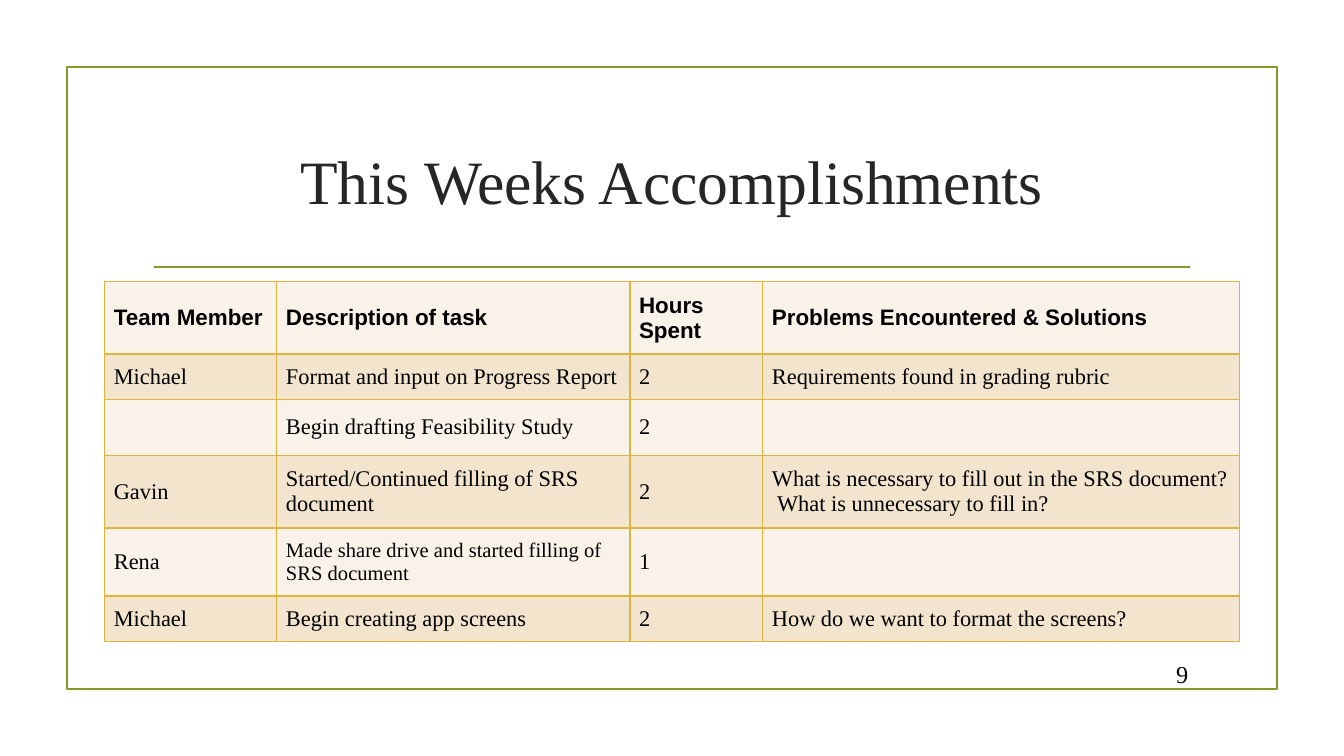
import pptx
import pptx.dml.color
import pptx.enum.shapes
import pptx.enum.text
import pptx.oxml
import pptx.oxml.ns
import pptx.util

Pt = pptx.util.Pt
ALIGN = pptx.enum.text.PP_ALIGN
MIDDLE = pptx.enum.text.MSO_ANCHOR.MIDDLE
SERIF, SANS = "Times New Roman", "Arial"
GREEN, GOLD, BLACK = "83992A", "DEB340", "000000"
LIGHT_BAND, DARK_BAND = "F9F2E8", "F2E4CD"

COLUMN_WIDTHS = [92.2, 189.2, 71.2, 255.4]
ROW_HEIGHTS = [36.8, 23.6, 30, 36.6, 34.8, 23.6]
TASKS = [
    ["Team Member", "Description of task", "Hours Spent", "Problems Encountered & Solutions"],
    ["Michael", "Format and input on Progress Report", "2", "Requirements found in grading rubric"],
    ["", "Begin drafting Feasibility Study", "2", ""],
    ["Gavin", "Started/Continued filling of SRS document", "2",
     "What is necessary to fill out in the SRS document?  What is unnecessary to fill in?"],
    ["Rena", "Made share drive and started filling of SRS document", "1", ""],
    ["Michael", "Begin creating app screens", "2", "How do we want to format the screens?"],
]
SMALLER_CELL = (4, 1)


def rgb(value):
    return pptx.dml.color.RGBColor.from_string(value)


def style_text(frame, size, font=SERIF, color=BLACK, bold=False, align=ALIGN.LEFT):
    for paragraph in frame.paragraphs:
        paragraph.alignment = align
        for run in paragraph.runs:
            run.font.size = Pt(size)
            run.font.name = font
            run.font.bold = bold
            run.font.color.rgb = rgb(color)


def add_text(slide, box, text, size, color, align):
    frame = slide.shapes.add_textbox(*map(Pt, box)).text_frame
    frame.word_wrap = True
    frame.vertical_anchor = MIDDLE
    frame.text = text
    style_text(frame, size, color=color, align=align)


def add_frame(slide, box):
    border = slide.shapes.add_shape(pptx.enum.shapes.MSO_SHAPE.RECTANGLE, *map(Pt, box))
    border.shadow.inherit = False
    border.fill.background()
    border.line.color.rgb = rgb(GREEN)
    border.line.width = Pt(1.25)


def add_heading(slide, box):
    left, top, width, height = box
    add_text(slide, box, "This Weeks Accomplishments", 33, "262626", ALIGN.CENTER)
    # Rule below the title, slightly inset from its box
    inset, rule_top = 6.2, top + height + 8
    rule = slide.shapes.add_connector(
        pptx.enum.shapes.MSO_CONNECTOR.STRAIGHT,
        Pt(left + inset), Pt(rule_top), Pt(left + width - inset), Pt(rule_top))
    rule.line.color.rgb = rgb(GREEN)
    rule.line.width = Pt(1.25)
    rule._element.spPr.append(pptx.oxml.parse_xml(
        f'<a:effectLst {pptx.oxml.ns.nsdecls("a")}/>'))


def add_borders(cell):
    properties = cell._tc.get_or_add_tcPr()
    for position, side in enumerate(("lnL", "lnR", "lnT", "lnB")):
        properties.insert(position, pptx.oxml.parse_xml(
            f'<a:{side} {pptx.oxml.ns.nsdecls("a")} w="12700"><a:solidFill>'
            f'<a:srgbClr val="{GOLD}"/></a:solidFill></a:{side}>'))


def add_task_table(slide, box):
    table = slide.shapes.add_table(len(TASKS), len(TASKS[0]), *map(Pt, box)).table
    for column, width in zip(table.columns, COLUMN_WIDTHS):
        column.width = Pt(width)
    for row, height in zip(table.rows, ROW_HEIGHTS):
        row.height = Pt(height)
    for r, task in enumerate(TASKS):
        for c, text in enumerate(task):
            cell = table.cell(r, c)
            cell.fill.solid()
            cell.fill.fore_color.rgb = rgb(DARK_BAND if r % 2 else LIGHT_BAND)
            add_borders(cell)
            if not text:
                continue
            cell.vertical_anchor = MIDDLE
            cell.margin_left = cell.margin_right = Pt(5)
            cell.margin_top = cell.margin_bottom = Pt(5)
            cell.text_frame.text = text
            size = 11 if (r, c) == SMALLER_CELL else 12
            style_text(cell.text_frame, size, SERIF if r else SANS, bold=r == 0)


def main():
    deck = pptx.Presentation()
    deck.slide_width, deck.slide_height = Pt(720), Pt(405)
    slide = deck.slides.add_slide(deck.slide_layouts[6])
    add_frame(slide, (36, 36, 648, 333))
    add_heading(slide, (76.4, 58.2, 567.2, 76.8))
    # Page number
    add_text(slide, (611.2, 353, 32.4, 16.4), "9", 13, BLACK, ALIGN.RIGHT)
    add_task_table(slide, (56, 150.8, sum(COLUMN_WIDTHS), sum(ROW_HEIGHTS)))
    deck.save("out.pptx")


if __name__ == "__main__":
    main()
